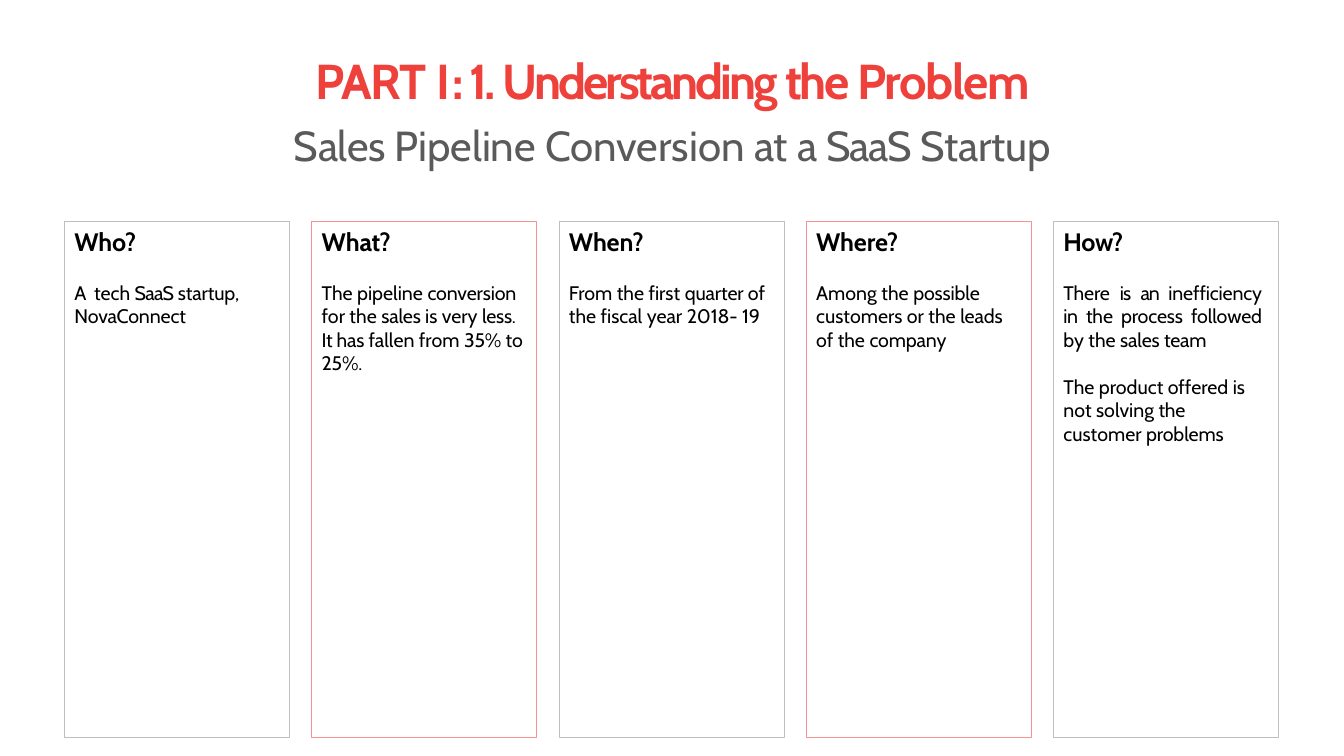
from dataclasses import dataclass

from pptx import Presentation
from pptx import util as u
from pptx.dml import color
from pptx.enum import shapes, text

COLORS = {"red": "EE413C", "gray": "5A5A5A", "black": "000000",
          "border": "BEBEBE", "pink": "F69392"}
FONT = "Cabin"

# Runs are (words, letter spacing in points)
Runs = list[tuple[str, float]]


@dataclass
class Answer:
    runs: Runs
    before: float = 16.9
    align: text.PP_ALIGN = text.PP_ALIGN.LEFT


@dataclass
class Card:
    question: str
    spacing: float
    answers: list[Answer]
    border: str = "border"
    right: float = 7


def rgb(name: str) -> color.RGBColor:
    return color.RGBColor.from_string(COLORS[name])


def add_text(frame, runs: Runs, *, first: bool = False, size: float = 14,
             ink: str = "black", bold: bool = False, before: float = 0,
             align: text.PP_ALIGN = text.PP_ALIGN.LEFT) -> None:
    """Write one paragraph; the first one reuses the frame's own paragraph."""
    paragraph = frame.paragraphs[0] if first else frame.add_paragraph()
    paragraph.alignment = align
    paragraph.space_before = u.Pt(before)
    paragraph.line_spacing = 1.0
    for words, spacing in runs:
        run = paragraph.add_run()
        run.text = words
        run.font.name = FONT
        run.font.size = u.Pt(size)
        run.font.bold = bold
        run.font.color.rgb = rgb(ink)
        run.font._element.set("spc", str(round(spacing * 100)))


def set_frame(frame, *, left: float, top: float, right: float) -> None:
    frame.word_wrap = True
    frame.auto_size = text.MSO_AUTO_SIZE.NONE
    frame.vertical_anchor = text.MSO_ANCHOR.TOP
    frame.margin_left, frame.margin_top = u.Pt(left), u.Pt(top)
    frame.margin_right, frame.margin_bottom = u.Pt(right), u.Pt(0)


def draw_card(slide, card: Card, left: float) -> None:
    box = slide.shapes.add_shape(shapes.MSO_SHAPE.RECTANGLE, u.Pt(left),
                                 u.Pt(158.4), u.Pt(160.8), u.Pt(368.6))
    box.shadow.inherit = False
    box.fill.background()
    box.line.color.rgb = rgb(card.border)
    box.line.width = u.Pt(0.72)
    set_frame(box.text_frame, left=7.2, top=3.4, right=card.right)
    add_text(box.text_frame, [(card.question, card.spacing)], first=True,
             size=18, bold=True, before=3.4)
    for answer in card.answers:
        add_text(box.text_frame, answer.runs, before=answer.before,
                 align=answer.align)


HEADING = [("PART ", -1), ("I ", -6), (": ", -3.6), ("1. ", -2.7),
           ("Understanding ", -2.2), ("the ", -2), ("Problem", -1.1)]
SUBHEADING = [("Sales ", -0.3), ("Pipeline Conversion at ", 0), ("a ", -0.7),
              ("SaaS ", -0.8), ("Startup", -0.1)]

CARDS = [
    Card("Who?", -0.2, [
        Answer([("A ", 1.1), ("tech ", 0), ("SaaS ", -0.5), ("startup,", -0.1)]),
        Answer([("NovaConnect", -0.1)], before=0)]),
    Card("What?", -0.1, [
        Answer([("The pipeline ", 0), ("conversion ", -0.1), ("for the ", 0),
                ("sales ", -0.1), ("is very ", 0), ("less. It has ", -0.2),
                ("fallen from ", 0), ("35% ", -0.2), ("to ", 0),
                ("25%.", -0.2)])], border="pink"),
    Card("When?", -0.1, [
        Answer([("From the first ", 0), ("quarter ", -0.1),
                ("of the fiscal year ", 0), ("2018- ", -0.1), ("19", -0.2)])]),
    Card("Where?", -0.1, [
        Answer([("Among the ", 0), ("possible ", -0.1), ("customers or the ", 0),
                ("leads ", -0.1), ("of the ", 0), ("company", -0.1)])],
         border="pink", right=12),
    Card("How?", -0.2, [
        Answer([("There ", -0.1), ("is ", -0.5), ("an ", -0.9),
                ("inefficiency ", -0.1), ("in ", -0.3),
                ("the process followed ", -0.1), ("by the ", 0),
                ("sales ", -0.1), ("team", -0.2)],
               align=text.PP_ALIGN.JUSTIFY),
        Answer([("The product offered ", 0), ("is ", -0.2), ("not solving ", 0),
                ("the ", -0.2), ("customer ", 0), ("problems", -0.1)],
               before=16.8)], right=12),
]


def main() -> None:
    deck = Presentation()
    deck.slide_width, deck.slide_height = u.Pt(960), u.Pt(540)
    slide = deck.slides.add_slide(deck.slide_layouts[5])

    # Heading and subheading
    title = slide.shapes.title
    title.left, title.top = u.Pt(180), u.Pt(26.6)
    title.width, title.height = u.Pt(600.5), u.Pt(118)
    set_frame(title.text_frame, left=0, top=9.4, right=0)
    add_text(title.text_frame, HEADING, first=True, size=35, ink="red",
             bold=True, before=9.5, align=text.PP_ALIGN.CENTER)
    add_text(title.text_frame, SUBHEADING, size=30, ink="gray", before=7.3,
             align=text.PP_ALIGN.CENTER)

    # Five question cards at an even pitch
    for column, card in enumerate(CARDS):
        draw_card(slide, card, 46.1 + column * 176.6)

    deck.save("out.pptx")


if __name__ == "__main__":
    main()
